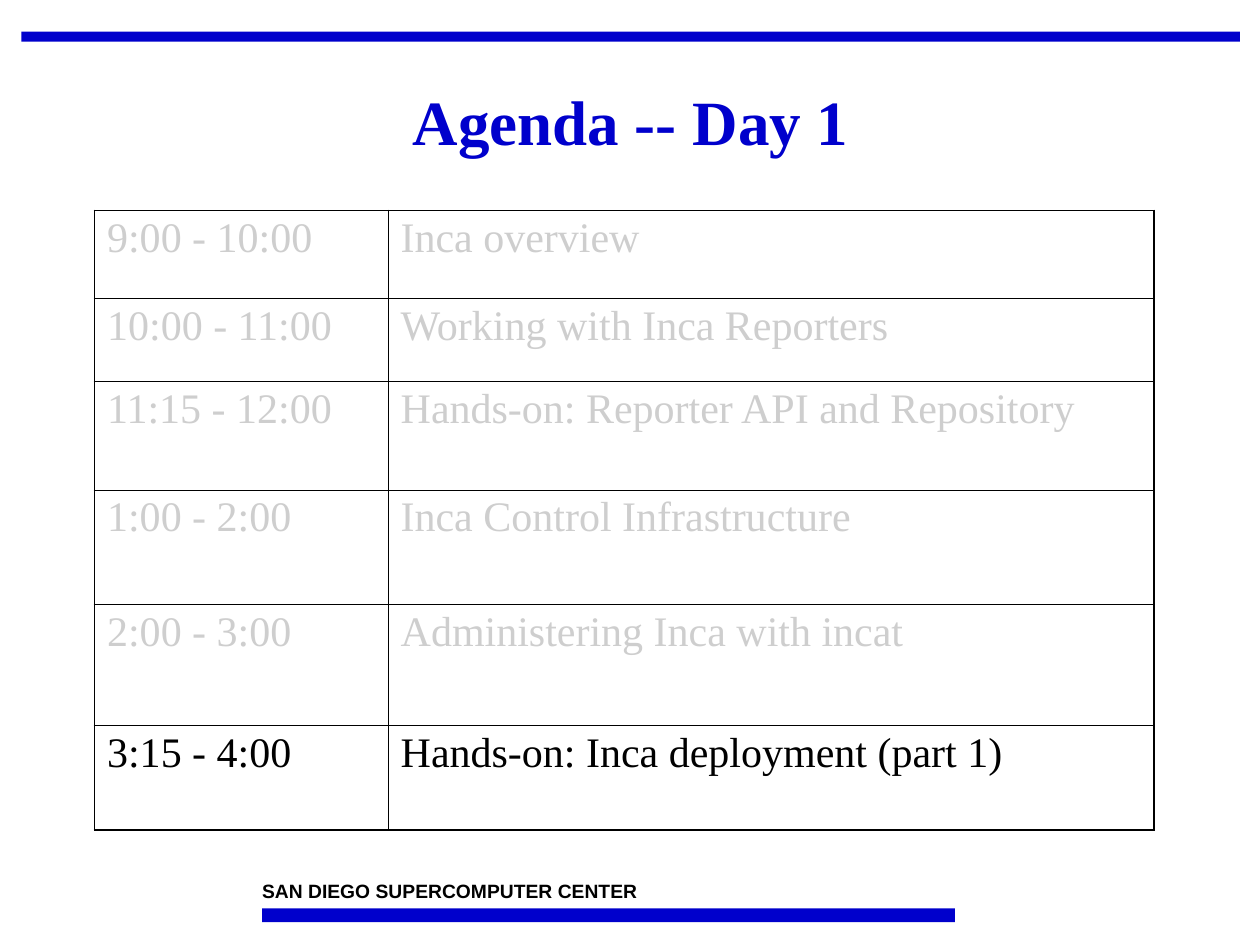
from dataclasses import dataclass

from lxml.etree import SubElement
from pptx import Presentation
from pptx.dml.color import RGBColor as RGB
from pptx.enum.shapes import MSO_SHAPE as Shape
from pptx.enum.text import MSO_ANCHOR as Anchor, PP_ALIGN as Align
from pptx.oxml.ns import qn
from pptx.util import Inches, Pt


@dataclass(frozen=True)
class Theme:
    accent: str = "0000CC"
    ink: str = "000000"
    faded: str = "CECECE"
    serif: str = "Times New Roman"
    sans: str = "Arial"
    title_size: int = 36
    agenda_size: int = 24
    footer_size: int = 11
    outer_line: float = 1.08
    inner_line: float = 0.45


theme = Theme()


def write(frame, text, *, size, font, color, bold=False, align=Align.LEFT, spacing=1.0):
    frame.word_wrap = True
    paragraph = frame.paragraphs[0]
    paragraph.alignment = align
    paragraph.line_spacing = spacing
    run = paragraph.add_run()
    run.text = text
    run.font.size = Pt(size)
    run.font.name = font
    run.font.bold = bold
    run.font.color.rgb = RGB.from_string(color)


def draw_borders(cell, outer_sides):
    cell.fill.background()
    properties = cell._tc.get_or_add_tcPr()
    for position, side in enumerate("LRTB"):
        width = theme.outer_line if side in outer_sides else theme.inner_line
        line = SubElement(properties, qn(f"a:ln{side}"), w=str(int(Pt(width))))
        fill = SubElement(line, qn("a:solidFill"))
        SubElement(fill, qn("a:srgbClr"), val=theme.ink)
        properties.insert(position, line)


deck = Presentation()
deck.slide_width, deck.slide_height = Inches(10), Inches(7.5)
slide = deck.slides.add_slide(deck.slide_layouts[5])

for box in [(0.17, 0.25, 9.67, 0.08), (2.08, 7.21, 5.5, 0.11)]:
    bar = slide.shapes.add_shape(Shape.RECTANGLE, *map(Inches, box))
    bar.shadow.inherit = False
    bar.fill.solid()
    bar.fill.fore_color.rgb = RGB.from_string(theme.accent)
    bar.line.fill.background()

footer = slide.shapes.add_textbox(Inches(2.08), Inches(6.98), Inches(3.75), Inches(0.18)).text_frame
footer.margin_left = footer.margin_right = footer.margin_top = footer.margin_bottom = 0
write(footer, "SAN DIEGO SUPERCOMPUTER CENTER",
      size=theme.footer_size, font=theme.sans, color=theme.ink, bold=True)

title = slide.shapes.title
title.left, title.top = Inches(0.17), Inches(0.42)
title.width, title.height = Inches(9.67), Inches(1.14)
title.text_frame.vertical_anchor = Anchor.MIDDLE
write(title.text_frame, "Agenda -- Day 1", size=theme.title_size, font=theme.serif,
      color=theme.accent, bold=True, align=Align.CENTER, spacing=0.9)

sessions = [
    ("9:00 - 10:00", "Inca overview", 0.7),
    ("10:00 - 11:00", "Working with Inca Reporters", 0.66),
    ("11:15 - 12:00", "Hands-on: Reporter API and Repository", 0.86),
    ("1:00 - 2:00", "Inca Control Infrastructure", 0.91),
    ("2:00 - 3:00", "Administering Inca with incat", 0.96),
    ("3:15 - 4:00", "Hands-on: Inca deployment (part 1)", 0.83),
]
current = len(sessions) - 1

agenda = slide.shapes.add_table(len(sessions), 2, Inches(0.75), Inches(1.67),
                                Inches(8.42), Inches(4.92)).table
agenda.first_row = agenda.horz_banding = False
agenda.columns[0].width, agenda.columns[1].width = Inches(2.33), Inches(6.08)

for row, (time, topic, height) in enumerate(sessions):
    agenda.rows[row].height = Inches(height)
    color = theme.ink if row == current else theme.faded
    row_sides = {0: "T", current: "B"}.get(row, "")
    for column, (text, column_side) in enumerate([(time, "L"), (topic, "R")]):
        cell = agenda.cell(row, column)
        write(cell.text_frame, text, size=theme.agenda_size, font=theme.serif,
              color=color, spacing=0.95)
        draw_borders(cell, row_sides + column_side)

deck.save("out.pptx")
